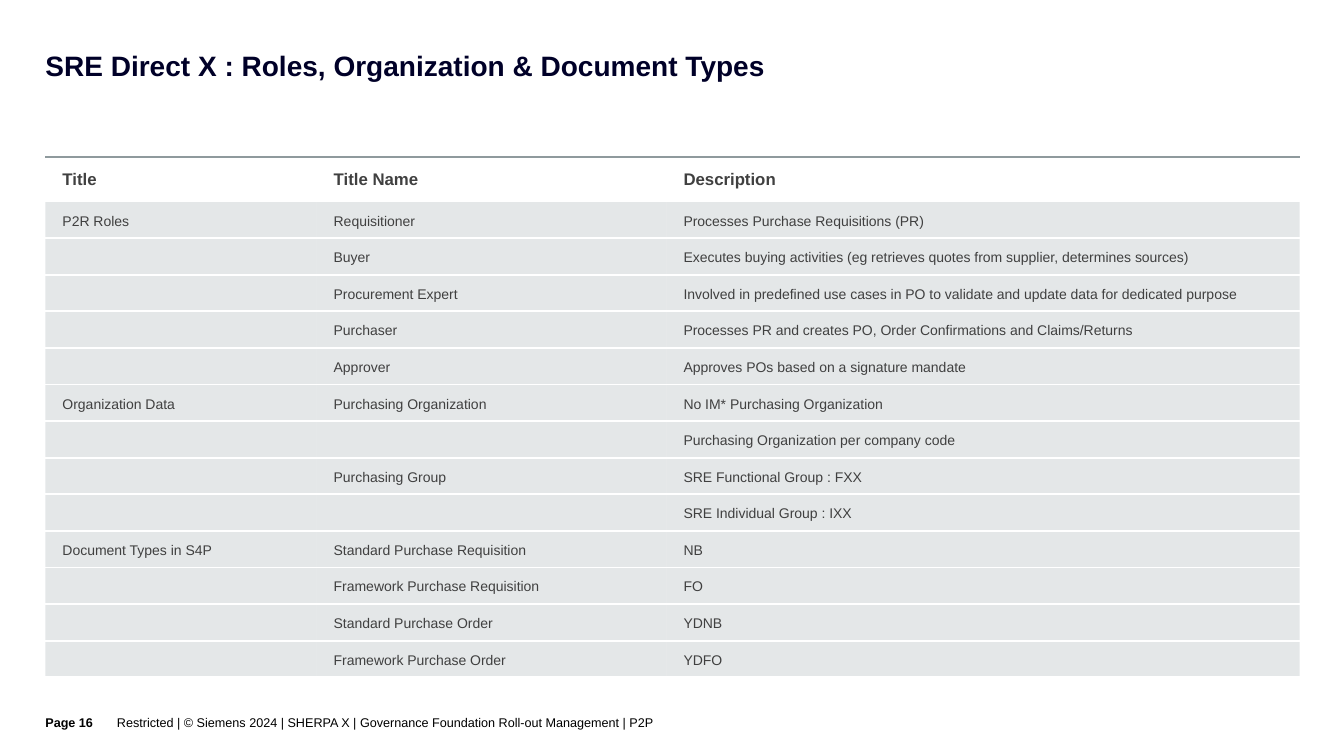
from lxml import etree
from pptx import Presentation
from pptx import util as u
from pptx.dml.color import RGBColor
from pptx.enum import text
from pptx.oxml.ns import qn

COLORS = {
    "title": "000028",
    "body": "404040",
    "footer": "000000",
    "row": "B4BCBE",
    "rule": "8F9A9D",
    "gap": "FFFFFF",
}
NO_GRID_STYLE = "{2D5ABB26-0587-4C30-8999-92F81FD0307C}"
COLUMN_WIDTHS = [2.69, 3.47, 6.28]
HEADER_HEIGHT = 0.44
TABLE_HEIGHT = 5.16
ROWS = [
    ("Title", "Title Name", "Description"),
    ("P2R Roles", "Requisitioner", "Processes Purchase Requisitions (PR)"),
    ("", "Buyer", "Executes buying activities (eg retrieves quotes from supplier, determines sources)"),
    ("", "Procurement Expert",
     "Involved in predefined use cases in PO to validate and update data for dedicated purpose"),
    ("", "Purchaser", "Processes PR and creates PO, Order Confirmations and Claims/Returns"),
    ("", "Approver", "Approves POs based on a signature mandate"),
    ("Organization Data", "Purchasing Organization", "No IM* Purchasing Organization"),
    ("", "", "Purchasing Organization per company code"),
    ("", "Purchasing Group", "SRE Functional Group : FXX"),
    ("", "", "SRE Individual Group : IXX"),
    ("Document Types in S4P", "Standard Purchase Requisition", "NB"),
    ("", "Framework Purchase Requisition", "FO"),
    ("", "Standard Purchase Order", "YDNB"),
    ("", "Framework Purchase Order", "YDFO"),
]


class SlideBuilder:
    font_name = "Arial"

    def __init__(self, slide):
        self.slide = slide

    def style(self, p, size, color, bold=False):
        p.alignment = text.PP_ALIGN.LEFT
        p.font.name = self.font_name
        p.font.size = u.Pt(size)
        p.font.bold = bold
        p.font.color.rgb = RGBColor.from_string(COLORS[color])

    def frame(self, tf, anchor, right=0, bottom=0):
        tf.word_wrap = True
        tf.auto_size = text.MSO_AUTO_SIZE.NONE
        tf.vertical_anchor = anchor
        tf.margin_left = tf.margin_top = 0
        tf.margin_right, tf.margin_bottom = u.Inches(right), u.Inches(bottom)

    def title(self, words, left, top, width, height):
        sp = self.slide.shapes.title
        sp.left, sp.top = u.Inches(left), u.Inches(top)
        sp.width, sp.height = u.Inches(width), u.Inches(height)
        self.frame(sp.text_frame, text.MSO_ANCHOR.TOP, 0.35, 0.02)
        p = sp.text_frame.paragraphs[0]
        p.text = words
        p.line_spacing = 0.9
        self.style(p, 20, "title", True)

    def footer(self, words, left, width, bold=False):
        sp = self.slide.shapes.add_textbox(
            u.Inches(left), u.Inches(6.9), u.Inches(width), u.Inches(0.6))
        self.frame(sp.text_frame, text.MSO_ANCHOR.MIDDLE, bottom=0.07)
        p = sp.text_frame.paragraphs[0]
        p.text = words
        p.space_after = u.Pt(6)
        self.style(p, 9, "footer", bold)

    def alpha(self, color_element, percent):
        etree.SubElement(color_element, qn("a:alpha"), val=str(percent * 1000))

    def border(self, cell, side, color, opacity=100):
        line = etree.Element(qn(f"a:{side}"), w=str(u.Pt(1.5)))
        fill = etree.SubElement(line, qn("a:solidFill"))
        rgb = etree.SubElement(fill, qn("a:srgbClr"), val=COLORS[color])
        if opacity < 100:
            self.alpha(rgb, opacity)
        properties = cell._tc.get_or_add_tcPr()
        properties.insert(len(properties.findall(qn("a:lnT"))), line)

    def cell(self, cell, words, header):
        margin = 0.1 if header else 0.09
        cell.margin_left = u.Inches(0.17)
        cell.margin_right = cell.margin_top = cell.margin_bottom = u.Inches(margin)
        cell.vertical_anchor = text.MSO_ANCHOR.MIDDLE if header else text.MSO_ANCHOR.BOTTOM
        p = cell.text_frame.paragraphs[0]
        if words:
            p.text = words
        else:
            etree.SubElement(p._p, qn("a:endParaRPr"), sz="1000")
        self.style(p, 12 if header else 10, "body", header)
        if header:
            cell.fill.background()
            self.border(cell, "lnT", "rule", 60)
        else:
            cell.fill.solid()
            cell.fill.fore_color.rgb = RGBColor.from_string(COLORS["row"])
            self.alpha(cell._tc.tcPr.find(".//" + qn("a:srgbClr")), 35)
            self.border(cell, "lnT", "gap")
        self.border(cell, "lnB", "gap")

    def table(self, rows, left, top):
        frame = self.slide.shapes.add_table(
            len(rows), len(COLUMN_WIDTHS), u.Inches(left), u.Inches(top),
            u.Inches(sum(COLUMN_WIDTHS)), u.Inches(TABLE_HEIGHT))
        table = frame.table
        table.horz_banding = False
        table._tbl.tblPr.find(qn("a:tableStyleId")).text = NO_GRID_STYLE
        for column, width in zip(table.columns, COLUMN_WIDTHS):
            column.width = u.Inches(width)
        body_height = (TABLE_HEIGHT - HEADER_HEIGHT) / (len(rows) - 1)
        for i, row in enumerate(rows):
            table.rows[i].height = u.Inches(body_height if i else HEADER_HEIGHT)
            for j, words in enumerate(row):
                self.cell(table.cell(i, j), words, i == 0)


def main():
    prs = Presentation()
    prs.slide_width, prs.slide_height = u.Inches(13.33), u.Inches(7.5)
    builder = SlideBuilder(prs.slides.add_slide(prs.slide_layouts[5]))
    builder.title("SRE Direct X : Roles, Organization & Document Types", 0.45, 0.52, 10.35, 0.63)
    builder.footer(
        "Restricted | © Siemens 2024 | SHERPA X | Governance Foundation Roll-out Management | P2P",
        1.16, 10.08)
    builder.footer("Page 16", 0.45, 0.71, True)
    builder.table(ROWS, 0.45, 1.56)
    prs.save("out.pptx")


if __name__ == "__main__":
    main()
